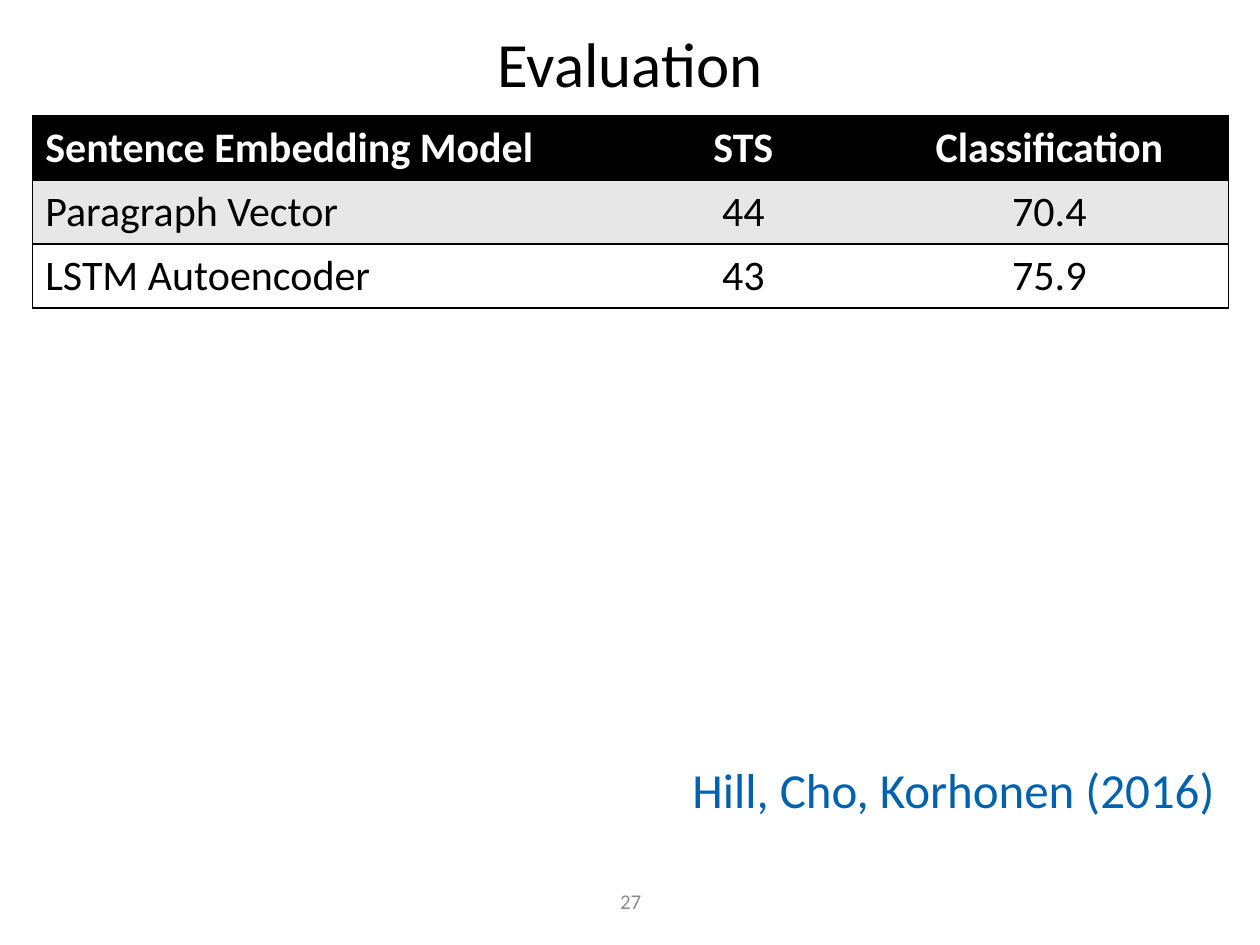
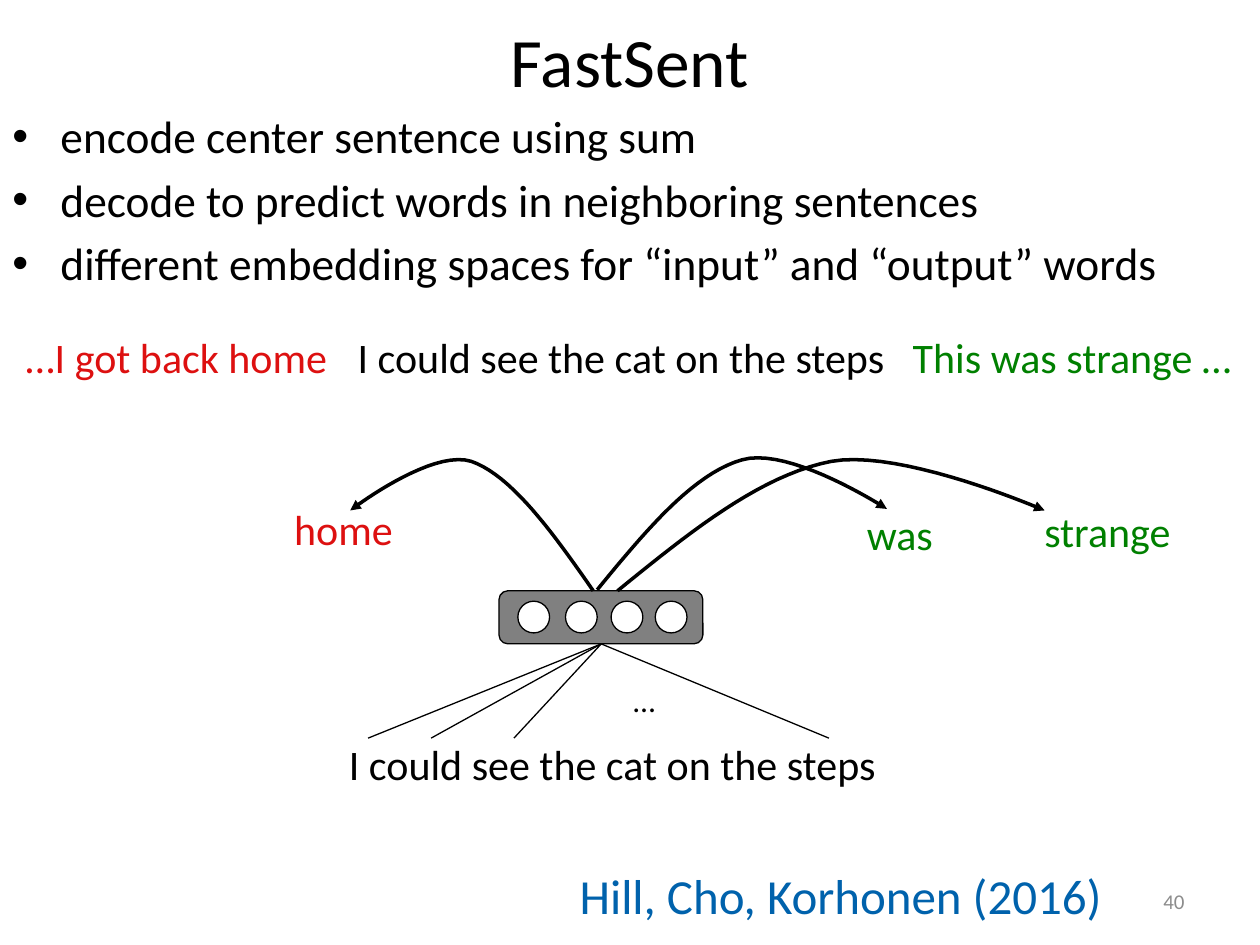
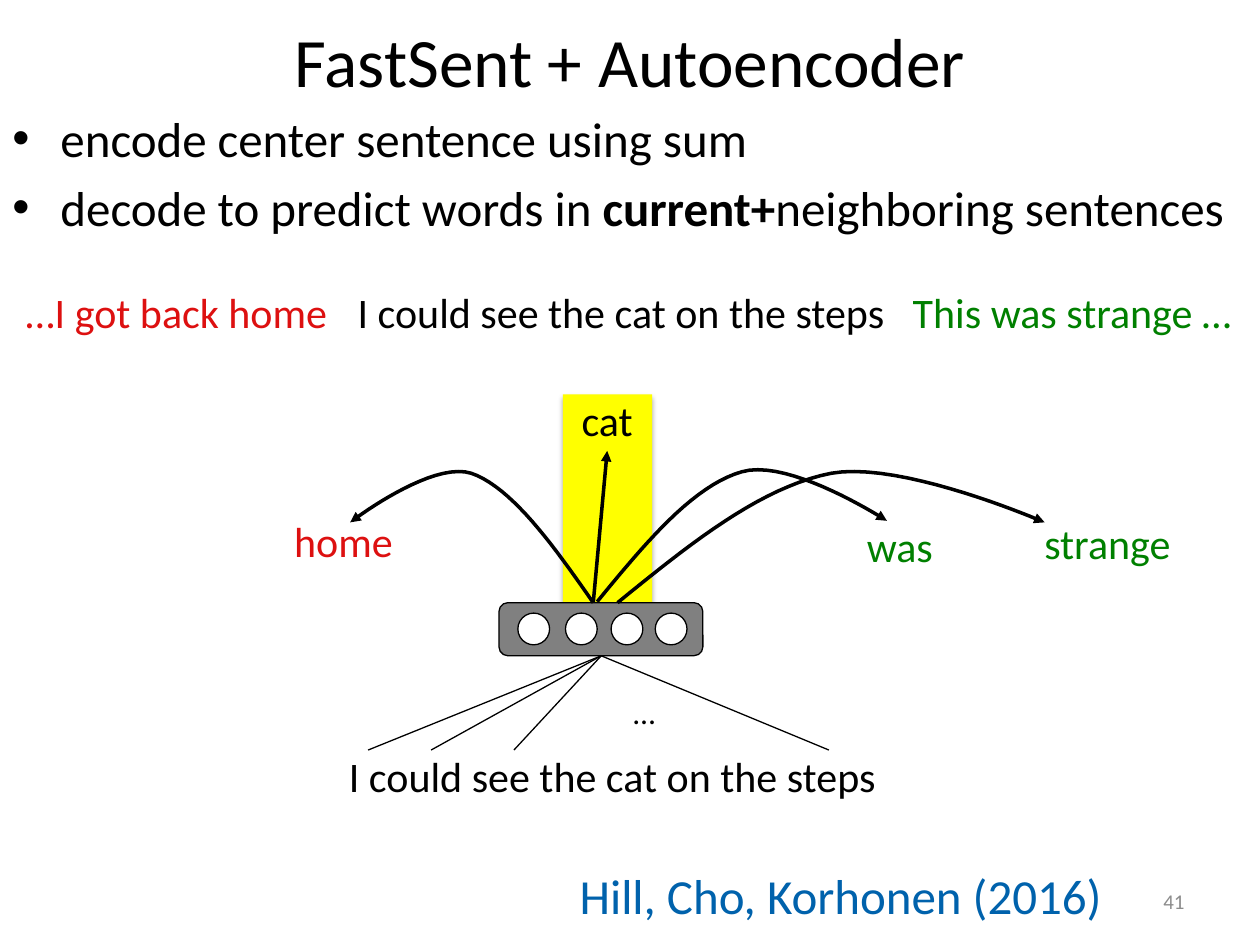
from lxml import etree
from pptx import Presentation
from pptx.dml.color import RGBColor
from pptx.enum.shapes import MSO_CONNECTOR, MSO_SHAPE
from pptx.enum.text import MSO_ANCHOR, PP_ALIGN
from pptx.oxml.ns import qn
from pptx.util import Cm, Pt

LEFT, CENTER, RIGHT = PP_ALIGN.LEFT, PP_ALIGN.CENTER, PP_ALIGN.RIGHT
TOP, MIDDLE = MSO_ANCHOR.TOP, MSO_ANCHOR.MIDDLE
STRAIGHT = MSO_CONNECTOR.STRAIGHT
RECTANGLE, ROUNDED, OVAL = (MSO_SHAPE.RECTANGLE, MSO_SHAPE.ROUNDED_RECTANGLE,
                            MSO_SHAPE.OVAL)

FONT = "Calibri"
COLORS = {
    "black": "000000", "white": "FFFFFF", "band": "E7E7E7", "number": "8C8C8C",
    "citation": "0062AC", "before": "DD1010", "after": "008000",
    "layer": "808080", "highlight": "FFFF00",
}

CITATION = "Hill, Cho, Korhonen (2016)"
CENTER_SENTENCE = "I could see the cat on the steps"
CONTEXT = [("…I got back home\t", "before"), (CENTER_SENTENCE + "\t", "black"),
           ("This was strange …", "after")]
CONTEXT_TABS = (6.69, 17.88)

RESULTS = [
    ("Sentence Embedding Model", "STS", "Classification"),
    ("Paragraph Vector", "44", "70.4"),
    ("LSTM Autoencoder", "43", "75.9"),
]
RESULT_WIDTHS = (11.76, 5.13, 7.21)
ROW_HEIGHT = 1.29
ROW_STYLES = [("black", "white", True), ("band", "black", False), ("white", "black", False)]

MODELS = [
    {
        "title": "FastSent", "number": "40", "size": 25.9,
        "bullets": [
            [("encode center sentence using sum", False)],
            [("decode to predict words in neighboring sentences", False)],
            [("different embedding spaces for “input” and “output” words", False)],
        ],
        "context_top": 6.55, "drop": 0, "autoencoder": False,
    },
    {
        "title": "FastSent + Autoencoder", "number": "41", "size": 28,
        "bullets": [
            [("encode center sentence using sum", False)],
            [("decode to predict words in ", False), ("current+", True),
             ("neighboring sentences", False)],
        ],
        "context_top": 5.66, "drop": 0.24, "autoencoder": True,
    },
]

# Diagram, in centimetres; each model moves it down by its "drop"
LAYER = (10.06, 11.91, 4.11, 1.07)
UNIT_LEFTS, UNIT_TOP, UNIT_SIZE = (10.44, 11.4, 12.32, 13.21), 12.12, 0.64
HUB = (12.12, 12.98)
WORD_LEFTS, WORD_TOP = (7.42, 8.69, 10.36, 16.71), 14.88
HIGHLIGHT = (11.35, 7.71, 1.8, 4.29)
CAT_ARROW = ((11.96, 11.9), (12.24, 8.85))
LABELS = [
    ("home", "before", (5.44, 10.03, 2.97, 1.27)),
    ("was", "after", (17.02, 10.13, 2.24, 1.27)),
    ("strange", "after", (20.47, 10.06, 3.71, 1.27)),
    (CENTER_SENTENCE, "black", (6.73, 14.76, 11.23, 1.27)),
]
CAT_LABEL = ("cat", "black", (10.82, 7.58, 2.84, 1.27))
# Start, then two Bezier segments of three points each
CURVES = [
    [(12.04, 11.89), (13, 10.72), (13.97, 9.55), (14.96, 9.27),
     (15.93, 8.99), (17.88, 10.26), (17.88, 10.26)],
    [(12.45, 11.91), (13.89, 10.74), (15.32, 9.58), (16.76, 9.3),
     (18.19, 9.04), (21.06, 10.29), (21.06, 10.29)],
    [(11.96, 11.91), (11.15, 10.74), (10.31, 9.58), (9.5, 9.3),
     (8.69, 9.04), (7.06, 10.29), (7.06, 10.29)],
]
CURVE_STEPS = 20


def rgb(name):
    return RGBColor.from_string(COLORS[name])


def lengths(values):
    return [Cm(value) for value in values]


def lowered(place, drop):
    left, top, *size = place
    return (left, top + drop, *size)


def add_element(parent, tag, **attributes):
    return etree.SubElement(parent, qn(tag), attributes)


def add_span(paragraph, text, size, color="black", bold=False):
    span = paragraph.add_run()
    span.text = text
    formats = {"name": FONT, "size": Pt(size), "bold": bold}
    for name, value in formats.items():
        setattr(span.font, name, value)
    span.font.color.rgb = rgb(color)


def add_box(page, place, anchor=TOP, wrap=True):
    box = page.shapes.add_textbox(*lengths(place))
    box.text_frame.word_wrap = wrap
    box.text_frame.vertical_anchor = anchor
    return box.text_frame


def add_label(page, text, place, size=24, color="black", align=CENTER,
              anchor=TOP, wrap=True):
    paragraph = add_box(page, place, anchor, wrap).paragraphs[0]
    paragraph.alignment = align
    add_span(paragraph, text, size, color)


def add_title(page, text, top, size):
    add_label(page, text, (1.27, top, 22.86, 2.01), size, anchor=MIDDLE)


def add_footer(page, number, number_place, number_align, citation_place, citation_align):
    add_label(page, number, number_place, 12, "number", number_align, MIDDLE)
    add_label(page, CITATION, citation_place, 28, "citation", citation_align)


def add_bullets(page, bullets, size):
    frame = add_box(page, (0, 2.06, 25.4, 3.89))
    for index, spans in enumerate(bullets):
        paragraph = frame.add_paragraph() if index else frame.paragraphs[0]
        properties = paragraph._p.get_or_add_pPr()
        properties.set("marL", str(Cm(0.97)))
        properties.set("indent", str(-Cm(0.97)))
        add_element(properties, "a:buFont", typeface="Arial")
        add_element(properties, "a:buChar", char="•")
        if index:
            paragraph.space_before = Pt(round(size * 0.2, 1))
        for text, bold in spans:
            add_span(paragraph, text, size, bold=bold)


def add_context(page, top):
    """Three neighbouring sentences on one line, set apart by tab stops."""
    paragraph = add_box(page, (0.27, top, 25.1, 1.27)).paragraphs[0]
    paragraph.alignment = LEFT
    stops = add_element(paragraph._p.get_or_add_pPr(), "a:tabLst")
    for position in CONTEXT_TABS:
        add_element(stops, "a:tab", pos=str(Cm(position)), algn="l")
    for text, color in CONTEXT:
        add_span(paragraph, text, 24, color)


def set_line(shape, width, arrow=False):
    shape.line.color.rgb = rgb("black")
    shape.line.width = Pt(width)
    if arrow:
        outline = shape._element.spPr.find(qn("a:ln"))
        add_element(outline, "a:tailEnd", type="triangle")


def add_filled(page, kind, place, color, outlined=True):
    shape = page.shapes.add_shape(kind, *lengths(place))
    shape.shadow.inherit = False
    shape.fill.solid()
    shape.fill.fore_color.rgb = rgb(color)
    if outlined:
        set_line(shape, 0.75)
    else:
        shape.line.fill.background()
    return shape


def add_line(page, start, end, width, arrow=False):
    line = page.shapes.add_connector(STRAIGHT, *lengths((*start, *end)))
    set_line(line, width, arrow)
    add_element(line._element.spPr, "a:effectLst")


def bezier_point(points, t):
    weights = ((1 - t) ** 3, 3 * t * (1 - t) ** 2, 3 * t ** 2 * (1 - t), t ** 3)
    return [Cm(sum(w * point[axis] for w, point in zip(weights, points))) for axis in (0, 1)]


def add_curve(page, points):
    outline = [bezier_point(points[first:first + 4], step / CURVE_STEPS)
               for first in (0, 3) for step in range(1, CURVE_STEPS + 1)]
    builder = page.shapes.build_freeform(*lengths(points[0]), scale=1.0)
    builder.add_line_segments(outline, close=False)
    curve = builder.convert_to_shape()
    curve.shadow.inherit = False
    curve.fill.background()
    set_line(curve, 2, arrow=True)


def add_highlight(page, drop):
    shape = add_filled(page, RECTANGLE, lowered(HIGHLIGHT, drop), "highlight", outlined=False)
    effects = shape._element.spPr.find(qn("a:effectLst"))
    shadow = add_element(effects, "a:outerShdw", blurRad=str(Pt(3.1)), dist=str(Pt(1.8)),
                         dir="5400000", rotWithShape="0")
    color = add_element(shadow, "a:srgbClr", val=COLORS["black"])
    add_element(color, "a:alpha", val="35000")


def add_diagram(page, drop, autoencoder):
    add_filled(page, ROUNDED, lowered(LAYER, drop), "layer")
    for left in UNIT_LEFTS:
        add_filled(page, OVAL, (left, UNIT_TOP + drop, UNIT_SIZE, UNIT_SIZE), "white")
    for left in WORD_LEFTS:
        add_line(page, (left, WORD_TOP + drop), lowered(HUB, drop), 0.75)
    add_label(page, "…", lowered((12.52, 13.61, 1.14, 1.02), drop), 18, align=LEFT, wrap=False)
    for text, color, place in LABELS + [CAT_LABEL] * autoencoder:
        add_label(page, text, lowered(place, drop), color=color)
    for points in CURVES:
        add_curve(page, [lowered(point, drop) for point in points])
    if autoencoder:
        start, end = CAT_ARROW
        add_line(page, lowered(start, drop), lowered(end, drop), 2, arrow=True)


def set_borders(cell, sides):
    """Black lines on the given sides, none on the others."""
    properties = cell._tc.get_or_add_tcPr()
    for side in "LRTB":
        border = add_element(properties, f"a:ln{side}", w=str(Pt(1)))
        if side in sides:
            fill = add_element(border, "a:solidFill")
            add_element(fill, "a:srgbClr", val=COLORS["black"])
        else:
            add_element(border, "a:noFill")


def add_results(page):
    rows, columns = len(RESULTS), len(RESULT_WIDTHS)
    place = (0.66, 2.34, sum(RESULT_WIDTHS), rows * ROW_HEIGHT)
    table = page.shapes.add_table(rows, columns, *lengths(place)).table
    for column, width in zip(table.columns, RESULT_WIDTHS):
        column.width = Cm(width)
    for row, (texts, (fill, color, bold)) in enumerate(zip(RESULTS, ROW_STYLES)):
        table.rows[row].height = Cm(ROW_HEIGHT)
        for column, text in enumerate(texts):
            cell = table.cell(row, column)
            set_borders(cell, "TB" + {0: "L", columns - 1: "R"}.get(column, ""))
            cell.fill.solid()
            cell.fill.fore_color.rgb = rgb(fill)
            paragraph = cell.text_frame.paragraphs[0]
            paragraph.alignment = CENTER if column else LEFT
            add_span(paragraph, text, 24, color, bold)


def build_evaluation(page):
    add_title(page, "Evaluation", 0.25, 36)
    add_results(page)
    add_footer(page, "27", (8.69, 17.65, 8.05, 1.02), CENTER,
               (7.92, 15.19, 16.81, 1.45), RIGHT)


def build_model(page, model):
    if model["autoencoder"]:
        add_highlight(page, model["drop"])
    add_title(page, model["title"], 0.2, 39.6)
    add_bullets(page, model["bullets"], model["size"])
    add_context(page, model["context_top"])
    add_footer(page, model["number"], (18.21, 17.65, 5.92, 1.02), RIGHT,
               (11.13, 17.32, 11.63, 1.45), CENTER)
    add_diagram(page, model["drop"], model["autoencoder"])


def main():
    deck = Presentation()
    deck.slide_width, deck.slide_height = Cm(25.4), Cm(19.05)
    blank = deck.slide_layouts[6]
    build_evaluation(deck.slides.add_slide(blank))
    for model in MODELS:
        build_model(deck.slides.add_slide(blank), model)
    deck.save("out.pptx")


if __name__ == "__main__":
    main()
